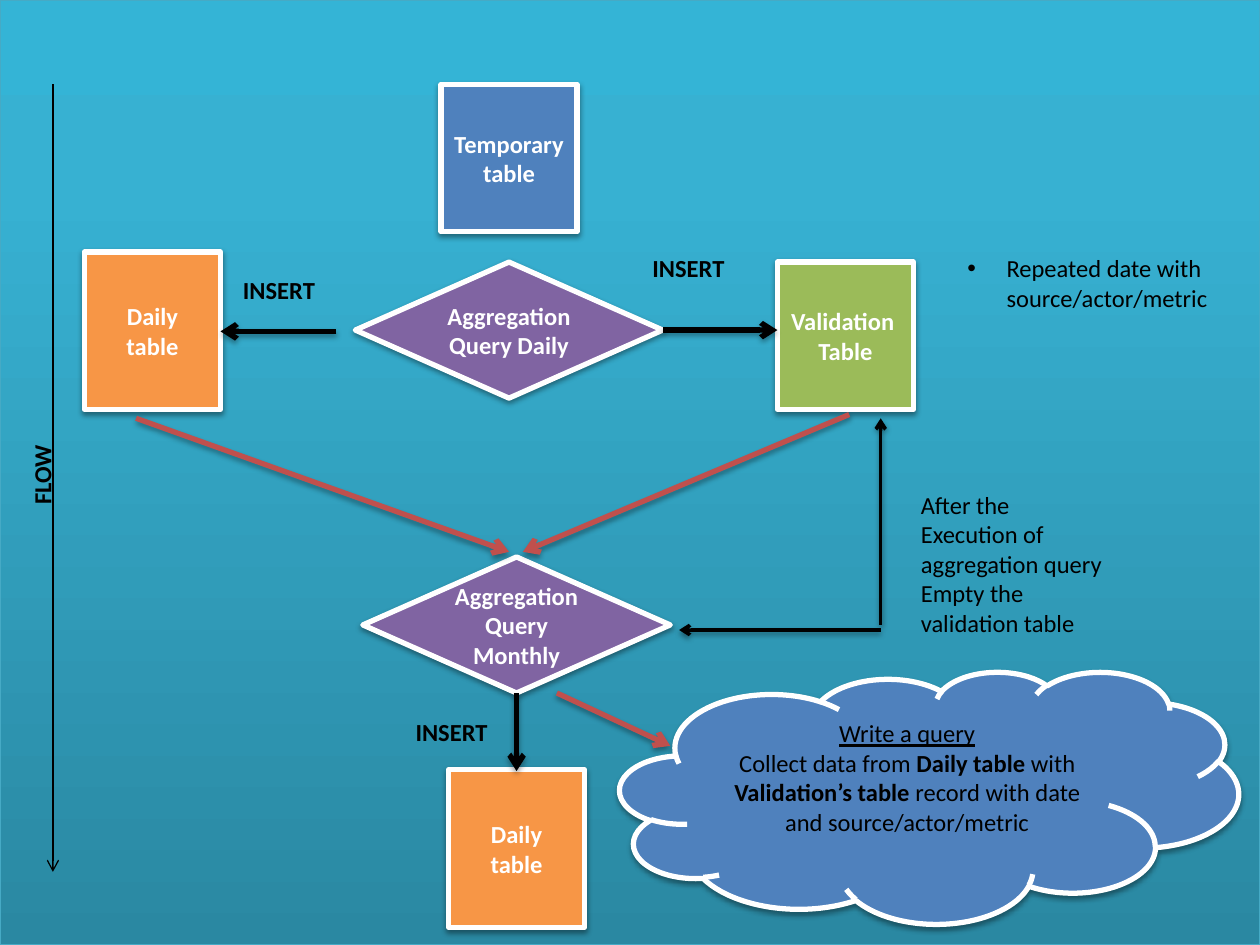
from lxml import etree
from pptx import Presentation
from pptx.dml.color import RGBColor
from pptx.enum import shapes, text
from pptx.oxml import ns
from pptx.util import Inches, Pt

BLUE = RGBColor(0x4F, 0x81, 0xBD)
ORANGE = RGBColor(0xF7, 0x96, 0x46)
GREEN = RGBColor(0x9B, 0xBB, 0x59)
PURPLE = RGBColor(0x80, 0x64, 0xA2)
RED = RGBColor(0xC0, 0x50, 0x4D)
WHITE = RGBColor(0xFF, 0xFF, 0xFF)
BLACK = RGBColor(0, 0, 0)
EDGE = RGBColor(0x46, 0xAA, 0xC5)
SKY_STOPS = [(0, RGBColor(0x2A, 0x88, 0xA2)),
             (80, RGBColor(0x37, 0xB1, 0xD2)),
             (100, RGBColor(0x34, 0xB4, 0xD6))]

KIND = shapes.MSO_SHAPE
WIDTH, HEIGHT = 10, 7.5
NODE_SHADOW = (38, 1.6)
STRONG_SHADOW = (35, 1.8)


def add_child(parent, tag, **attributes):
    child = etree.SubElement(parent, ns.qn(tag))
    for name, value in attributes.items():
        child.set(name, str(value))
    return child


def set_shadow(properties, shadow):
    """Give a shape or connector a soft downward shadow, or none."""
    effects = properties.find(ns.qn("a:effectLst"))
    if effects is None:
        effects = add_child(properties, "a:effectLst")
    if shadow:
        opacity, distance = shadow
        outer = add_child(effects, "a:outerShdw", blurRad=Pt(3.1), dist=Pt(distance),
                          dir=90 * 60000, rotWithShape=0)
        color = add_child(outer, "a:srgbClr", val=BLACK)
        add_child(color, "a:alpha", val=opacity * 1000)


def write(frame, paragraphs, color, align=text.PP_ALIGN.LEFT):
    """Each paragraph is a list of (text, bold, underline) runs."""
    frame.word_wrap = True
    for index, runs in enumerate(paragraphs):
        paragraph = frame.paragraphs[0] if index == 0 else frame.add_paragraph()
        paragraph.alignment = align
        for words, bold, underline in runs:
            run = paragraph.add_run()
            run.text = words
            font = run.font
            font.name, font.size = "Calibri", Pt(14)
            font.bold, font.underline = bold, underline
            font.color.rgb = color


def add_background(slide, left, top, width, height):
    shape = slide.shapes.add_shape(KIND.FLOWCHART_PROCESS, Inches(left), Inches(top),
                                   Inches(width), Inches(height))
    shape.fill.gradient()
    shape.fill.gradient_angle = 90
    stops = shape.element.spPr.find(".//" + ns.qn("a:gsLst"))
    for stop in list(stops):
        stops.remove(stop)
    for position, color in SKY_STOPS:
        stop = add_child(stops, "a:gs", pos=position * 1000)
        add_child(stop, "a:srgbClr", val=color)
    shape.line.color.rgb = EDGE
    shape.line.width = Pt(0.75)
    shape.shadow.inherit = False
    set_shadow(shape.element.spPr, STRONG_SHADOW)


def add_node(slide, kind, box, fill, paragraphs, color=WHITE):
    shape = slide.shapes.add_shape(kind, *map(Inches, box))
    shape.fill.solid()
    shape.fill.fore_color.rgb = fill
    shape.line.color.rgb = WHITE
    shape.line.width = Pt(3)
    shape.shadow.inherit = False
    set_shadow(shape.element.spPr, NODE_SHADOW)
    shape.text_frame.vertical_anchor = text.MSO_ANCHOR.MIDDLE
    write(shape.text_frame, paragraphs, color, text.PP_ALIGN.CENTER)
    return shape


def add_arrow(slide, start, end, color=BLACK, width=3, shadow=STRONG_SHADOW):
    connector = slide.shapes.add_connector(
        shapes.MSO_CONNECTOR.STRAIGHT, *map(Inches, start + end))
    connector.line.color.rgb = color
    connector.line.width = Pt(width)
    add_child(connector.line._get_or_add_ln(), "a:tailEnd", type="arrow")
    set_shadow(connector.element.spPr, shadow)


def add_label(slide, box, lines, bold=False, rotation=0, bullet=False):
    label = slide.shapes.add_textbox(*map(Inches, box))
    label.rotation = rotation
    frame = label.text_frame
    write(frame, [[(line, bold, False)] for line in lines], BLACK)
    frame.auto_size = text.MSO_AUTO_SIZE.SHAPE_TO_FIT_TEXT
    if bullet:
        properties = frame.paragraphs[0]._p.get_or_add_pPr()
        properties.set("marL", str(Inches(0.31)))
        properties.set("indent", str(-Inches(0.31)))
        add_child(properties, "a:buFont", typeface="Arial")
        add_child(properties, "a:buChar", char="•")


def add_flow_axis(slide, left, top, height):
    add_arrow(slide, (left, top), (left, top + height), width=0.75, shadow=None)
    add_label(slide, (left - 0.92, top + 2.43, 1.67, 0.34), ["FLOW"], True, 270)


def add_cloud(slide, left, top, width, height):
    cloud = add_node(slide, KIND.CLOUD, (left, top, width, height), BLUE, [
        [("Write a query", False, True)],
        [("Collect data from ", False, False), ("Daily table ", True, False),
         ("with ", False, False), ("Validation’s table", True, False),
         (" record with date and source/actor/metric", False, False)],
    ], BLACK)
    cloud.text_frame.margin_bottom = Inches(0.28)


presentation = Presentation()
presentation.slide_width, presentation.slide_height = Inches(WIDTH), Inches(HEIGHT)
slide = presentation.slides.add_slide(presentation.slide_layouts[6])
add_background(slide, 0, 0, WIDTH, HEIGHT)

# Tables and queries
for kind, box, fill, lines in [
    (KIND.RECTANGLE, (3.5, 0.67, 1.08, 1.17), BLUE, ["Temporary ", "table"]),
    (KIND.DIAMOND, (2.82, 2.08, 2.44, 1.08), PURPLE, ["Aggregation Query Daily"]),
    (KIND.RECTANGLE, (6.17, 2.08, 1.08, 1.17), GREEN, ["Validation ", "Table"]),
    (KIND.DIAMOND, (2.88, 4.42, 2.44, 1.08), PURPLE, ["Aggregation Query Monthly"]),
    (KIND.RECTANGLE, (0.67, 2, 1.08, 1.25), ORANGE, ["Daily", "table"]),
    (KIND.RECTANGLE, (3.56, 6.11, 1.08, 1.25), ORANGE, ["Daily", "table"]),
]:
    add_node(slide, kind, box, fill, [[(line, True, False)] for line in lines])
add_cloud(slide, 4.92, 5.33, 4.91, 2)

# Insert steps
for start, end, label_left, label_top in [
    ((5.26, 2.62), (6.17, 2.62), 5.08, 1.96),
    ((2.67, 2.63), (1.75, 2.63), 1.83, 2.13),
    ((4.1, 5.5), (4.1, 6.12), 3.2, 5.64),
]:
    add_arrow(slide, start, end)
    add_label(slide, (label_left, label_top, 1.67, 0.34), ["INSERT"], True)

# Monthly inputs and query
for start, end in [((1.08, 3.32), (4.04, 4.38)), ((6.74, 3.29), (4.15, 4.38)),
                   ((4.42, 5.5), (5.32, 5.92))]:
    add_arrow(slide, start, end, RED)

# Emptying of the validation table
for start, end in [((6.99, 4.96), (6.99, 3.32)), ((6.99, 5), (5.39, 5))]:
    add_arrow(slide, start, end, width=2, shadow=NODE_SHADOW)

# Notes and time axis
add_label(slide, (7.58, 1.96, 2.92, 0.81), ["Repeated date with source/actor/metric"],
          bullet=True)
add_label(slide, (7.21, 3.84, 1.67, 1.28),
          ["After the Execution of aggregation query ", "Empty the validation table"])
add_flow_axis(slide, 0.42, 0.67, 6.25)

presentation.save("out.pptx")
